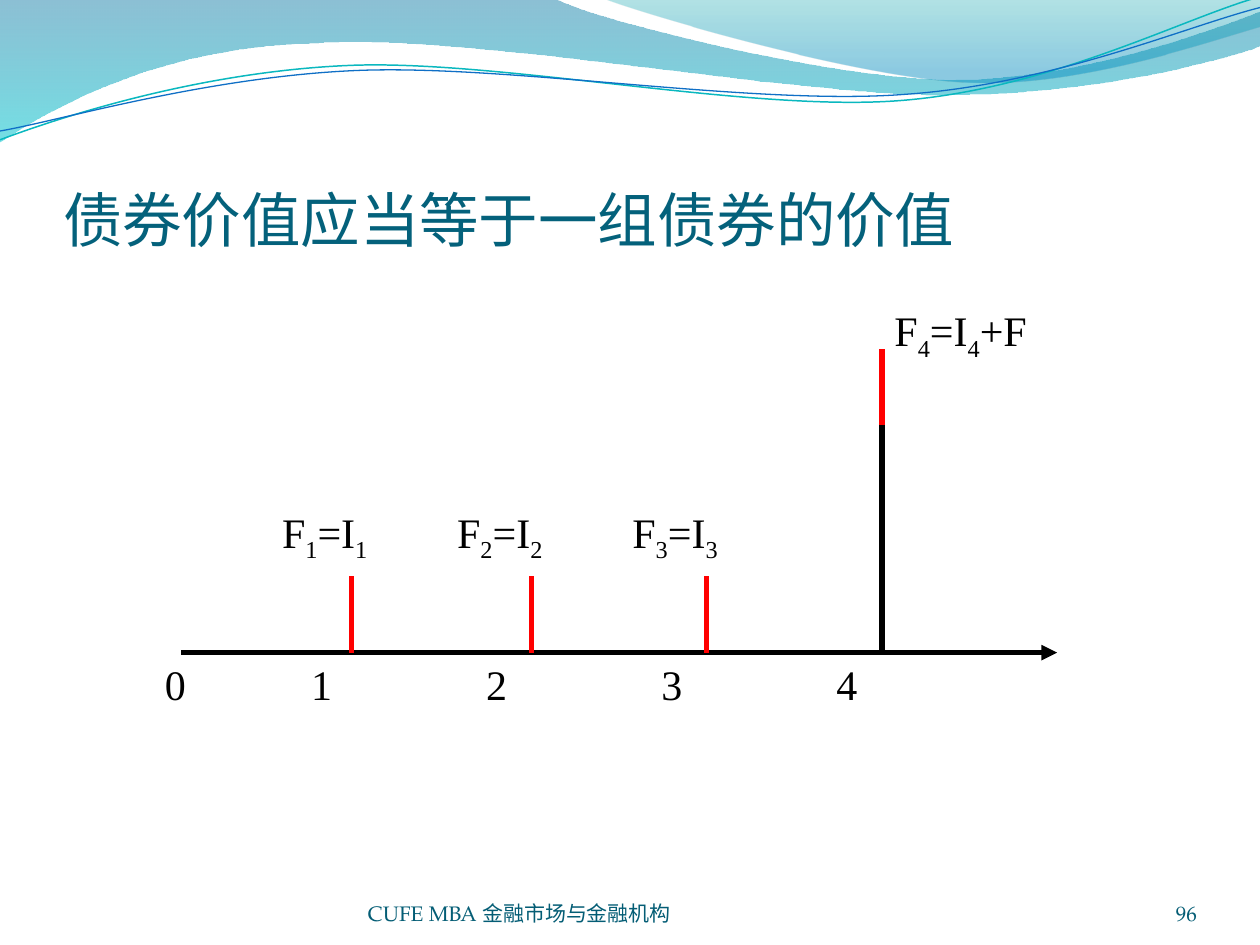
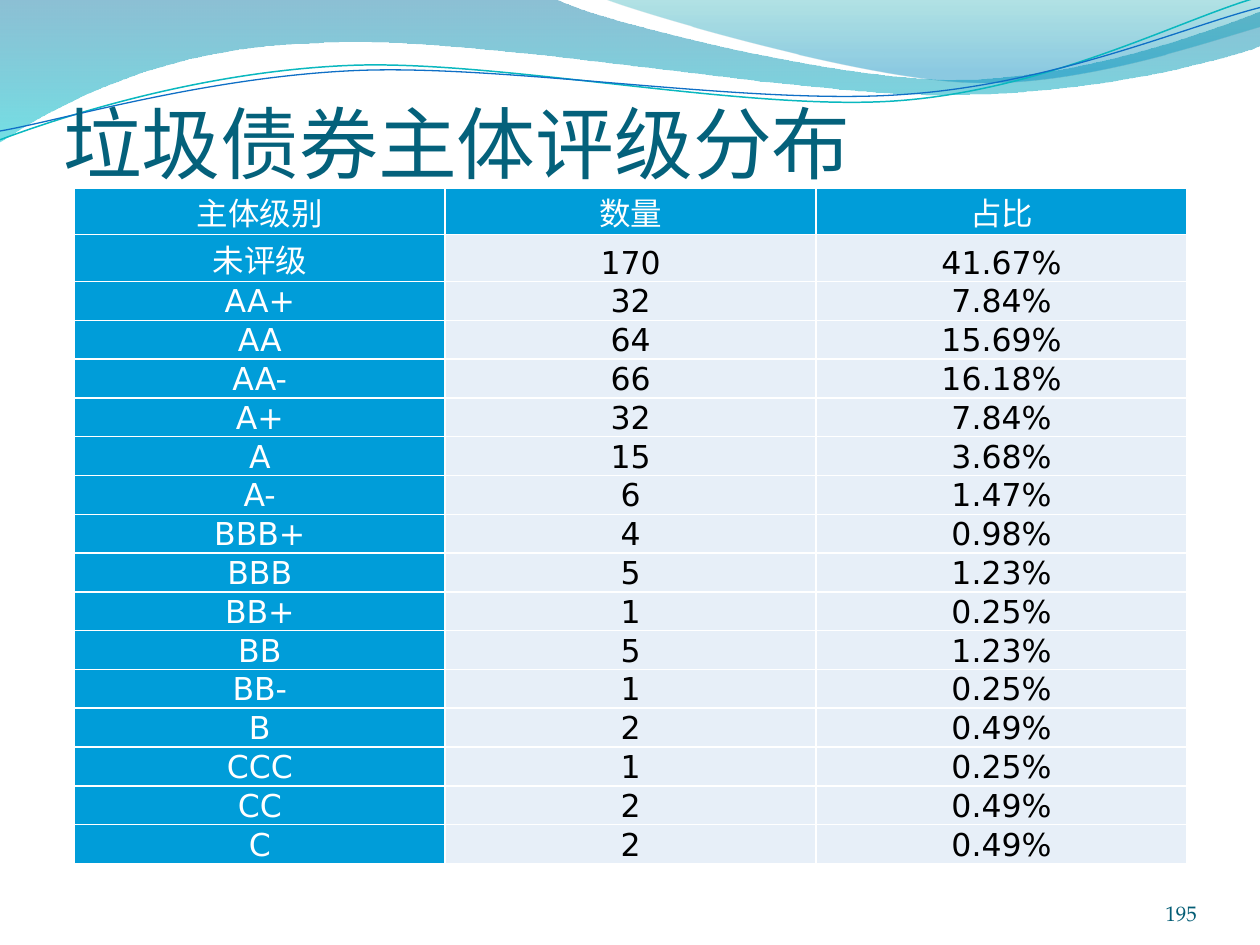
from lxml.etree import SubElement
from pptx import Presentation
from pptx.dml.color import RGBColor
from pptx.enum.shapes import MSO_CONNECTOR
from pptx.enum.text import MSO_ANCHOR, MSO_AUTO_SIZE, PP_ALIGN
from pptx.oxml.ns import qn
from pptx.util import Emu, Pt

PX = 9144
WHITE, BLACK, RED = "FFFFFF", "000000", "FF0000"
TITLE_COLOR, FOOTER_COLOR = "04617B", "045D75"
HEAD_FILL, BODY_FILL = "009DD9", "E7EFF8"
TITLE_FONT, FOOTER_FONT = "Calibri", "TeX Gyre Pagella"
DIAGRAM_FONT, TABLE_FONT = "Times New Roman", "DejaVu Sans"

WAVE_BANDS = [
    ([(0, 0), (440, -1), (476, 17, 664, 63, 758, 63), (853, 63, 958, 26, 1000, 9),
      (1001, 36), (983, 44, 870, 76, 746, 75), (622, 75, 382, 28, 257, 34),
      (129, 36, 46, 83, -1, 113)],
     [(0, "0074A1", 45), (1, "00C6CF", 55)]),
    ([(479, -1), (509, 11, 682, 62, 769, 65), (856, 69, 961, 32, 1000, 21), (1000, 0)],
     [(0, "00A1A9", 30), (0.8, "008BBF", 45)]),
]
WAVE_LINES = [
    ([(0, 111), (48, 93, 158, 57, 277, 52), (395, 47, 593, 89, 713, 80),
      (833, 71, 938, 15, 998, -2)], "0AB8BF", 0.85),
    ([(0, 104), (47, 96, 164, 61, 283, 56), (403, 51, 597, 84, 717, 75),
      (836, 67, 941, 21, 1000, 6)], "0F6FC6", 0.75),
]
RATINGS = [("未评级", 170), ("AA+", 32), ("AA", 64), ("AA-", 66), ("A+", 32), ("A", 15),
           ("A-", 6), ("BBB+", 4), ("BBB", 5), ("BB+", 1), ("BB", 5), ("BB-", 1),
           ("B", 2), ("CCC", 1), ("CC", 2), ("C", 2)]


def px(length):
    """Turn a length in px into EMU."""
    return Emu(length * PX)


def rgb(value):
    """Turn a hex string into a colour."""
    return RGBColor.from_string(value)


def write_text(frame, text, size, font, color, align=PP_ALIGN.LEFT,
               anchor=MSO_ANCHOR.TOP, insets=(10, 5, 10, 5)):
    """Fill a text frame; the character after an underscore is a subscript."""
    frame.word_wrap = True
    frame.auto_size = MSO_AUTO_SIZE.NONE
    frame.vertical_anchor = anchor
    frame.margin_left, frame.margin_top, frame.margin_right, frame.margin_bottom = map(px, insets)
    para = frame.paragraphs[0]
    para.alignment = align
    first, *rest = text.split("_")
    pieces = [(first, False)]
    for piece in rest:
        pieces += [(piece[0], True), (piece[1:], False)]
    for piece, lowered in pieces:
        if not piece:
            continue
        span = para.add_run()
        span.text = piece
        span.font.size, span.font.name = Pt(size), font
        span.font.color.rgb = rgb(color)
        if lowered:
            span._r.get_or_add_rPr().set("baseline", "-25000")


def add_text(page, box, text, **text_format):
    """Add a text box at left, top, width, height."""
    shape = page.shapes.add_textbox(*map(px, box))
    write_text(shape.text_frame, text, **text_format)


def add_line(page, start, end, color=BLACK, arrow=False):
    """Add a straight 3 pt line."""
    connector = page.shapes.add_connector(MSO_CONNECTOR.STRAIGHT, *map(px, start + end))
    connector.line.width = Pt(3)
    connector.line.color.rgb = rgb(color)
    properties = connector.element.spPr
    if arrow:
        SubElement(properties.find(qn("a:ln")), qn("a:tailEnd"), type="triangle")
    SubElement(properties, qn("a:effectLst"))


def add_outline(page, outline, close):
    """Add a freeform whose six-number segments are cubic curves."""
    start, *segments = outline
    points = [segment[i:i + 2] for segment in segments for i in range(0, len(segment), 2)]
    builder = page.shapes.build_freeform(*start, scale=PX)
    builder.add_line_segments(points, close=close)
    shape = builder.convert_to_shape()
    shape.shadow.inherit = False
    steps = iter(list(shape.element.spPr.iter(qn("a:lnTo"))))
    for segment in segments:
        step = next(steps)
        if len(segment) == 6:
            step.tag = qn("a:cubicBezTo")
            for extra in (next(steps), next(steps)):
                step.append(extra[0])
                extra.getparent().remove(extra)
    return shape


def add_waves(page, layout):
    """Draw the wave header and move it to the back of the layout."""
    waves = []
    for outline, stops in WAVE_BANDS:
        band = add_outline(page, outline, True)
        band.line.fill.background()
        band.fill.gradient()
        band.fill.gradient_angle = 270
        for stop, (position, color, _) in zip(band.fill.gradient_stops, stops):
            stop.position = position
            stop.color.rgb = rgb(color)
        colors = list(band.element.spPr.iter(qn("a:srgbClr")))
        for node, (_, _, alpha) in zip(colors, stops):
            SubElement(node, qn("a:alpha"), val=str(alpha * 1000))
        waves.append(band)
    for outline, color, width in WAVE_LINES:
        curve = add_outline(page, outline, False)
        curve.fill.background()
        curve.line.color.rgb = rgb(color)
        curve.line.width = Pt(width)
        waves.append(curve)
    for index, wave in enumerate(waves):
        wave.element.nvSpPr.cNvPr.set("id", str(20 + index))
        layout.shapes.element.insert(2 + index, wave.element)


def add_page(deck, layout, title, box, size, number, footer=None):
    """Add a slide with its title, footer and number."""
    page = deck.slides.add_slide(layout)
    heading = page.shapes.title
    heading.left, heading.top, heading.width, heading.height = map(px, box)
    write_text(heading.text_frame, title, size=size, font=TITLE_FONT, color=TITLE_COLOR,
               anchor=MSO_ANCHOR.BOTTOM, insets=(0, 5, 0, 0))
    small = dict(size=12, font=FOOTER_FONT, color=FOOTER_COLOR,
                 anchor=MSO_ANCHOR.BOTTOM, insets=(0, 0, 0, 0))
    if footer:
        add_text(page, (292, 695, 367, 40), footer, **small)
    add_text(page, (867, 695, 83, 40), number, align=PP_ALIGN.RIGHT, **small)
    return page


def add_timeline(page, left, top, width, height):
    """Draw the cash flows of a four-period bond on a time axis."""
    label = dict(size=24, font=DIAGRAM_FONT, color=BLACK, align=PP_ALIGN.JUSTIFY)
    axis, period, coupon = top + height, 139, 61
    add_line(page, (left, axis), (left + width, axis), arrow=True)
    add_text(page, (left - 23, axis, 69, 60), "0", **label)
    for index, offset in enumerate((135, 278, 417, 556)):
        tick, number, shift = left + offset, index + 1, index * period
        add_text(page, (left + 93 + shift, axis, 69, 60), str(number), **label)
        if number < 4:
            add_line(page, (tick, axis), (tick, axis - coupon), RED)
            add_text(page, (left + 70 + shift, axis - 121, 116, 60),
                     f"F_{number}=I_{number}", **label)
        else:
            face = top + coupon - 1
            add_line(page, (tick, axis), (tick, face))
            add_line(page, (tick, face), (tick, top), RED)
            add_text(page, (tick, top - 40, 139, 60), "F_4=I_4+F", **label)


def add_border(cell, side):
    """Give one side of a cell a white line."""
    border = SubElement(cell._tc.get_or_add_tcPr(), qn(f"a:ln{side}"), w=str(Pt(1)))
    fill = SubElement(border, qn("a:solidFill"))
    SubElement(fill, qn("a:srgbClr"), val=WHITE)


def add_rating_table(page, left, top, width, height):
    """Add the table of issuer ratings with counts and shares."""
    total = sum(count for _, count in RATINGS)
    rows = [("主体级别", "数量", "占比")]
    rows += [(rating, str(count), f"{count / total:.2%}") for rating, count in RATINGS]
    frame = page.shapes.add_table(len(rows), 3, *map(px, (left, top, width, height)))
    table = frame.table
    table.first_row = table.horz_banding = False
    for row, texts in enumerate(rows):
        for column, text in enumerate(texts):
            cell = table.cell(row, column)
            heading = row == 0 or column == 0
            write_text(cell.text_frame, text, size=18, font=TABLE_FONT,
                       color=WHITE if heading else BLACK, align=PP_ALIGN.CENTER)
            cell.vertical_anchor = MSO_ANCHOR.BOTTOM
            cell.margin_left = cell.margin_top = cell.margin_right = px(1)
            cell.margin_bottom = 0
            for side in "LRTB":
                add_border(cell, side)
            cell.fill.solid()
            cell.fill.fore_color.rgb = rgb(HEAD_FILL if heading else BODY_FILL)


def main():
    """Build and save the deck."""
    deck = Presentation()
    deck.slide_width, deck.slide_height = px(1000), px(750)
    layout = deck.slide_layouts.get_by_name("Title Only")
    page = add_page(deck, layout, "债券价值应当等于一组债券的价值", (50, 77, 900, 125), 34,
                    "96", "CUFE MBA 金融市场与金融机构")
    add_waves(page, layout)
    add_timeline(page, 144, 277, 695, 241)
    page = add_page(deck, layout, "垃圾债券主体评级分布", (50, 77, 900, 73), 45, "195")
    add_rating_table(page, 59, 149, 883, 524)
    deck.save("out.pptx")


if __name__ == "__main__":
    main()
